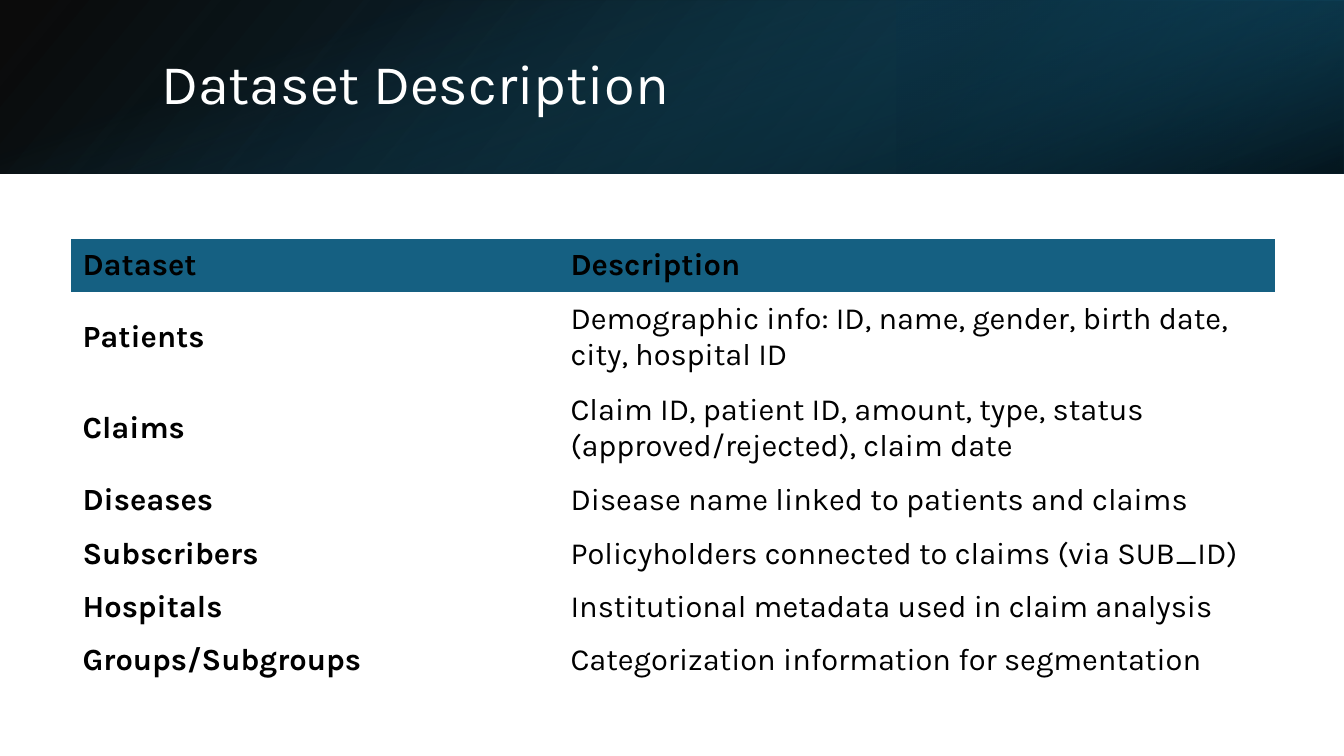
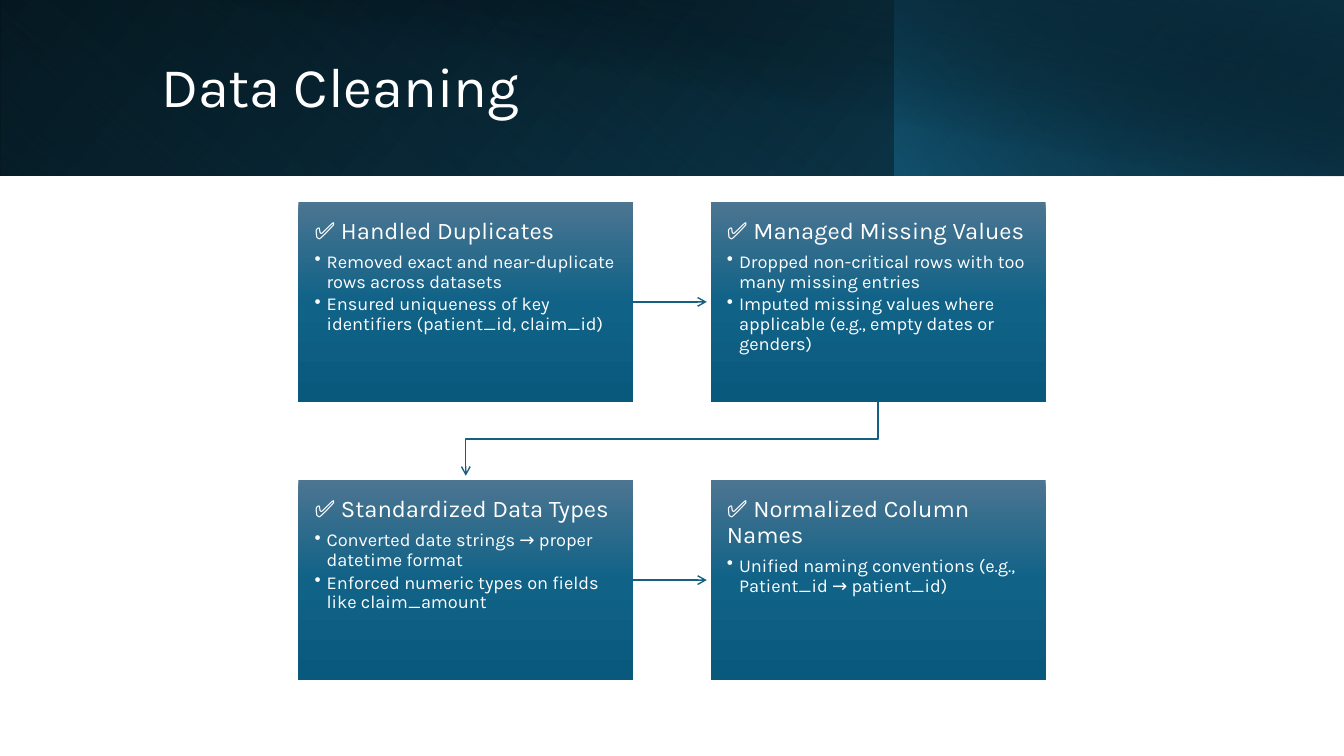
import lxml.etree
import pptx
import pptx.dml.color
import pptx.enum.shapes
import pptx.enum.text
import pptx.oxml
import pptx.oxml.ns
import pptx.util

Inches = pptx.util.Inches
Pt = pptx.util.Pt
RGBColor = pptx.dml.color.RGBColor
qn = pptx.oxml.ns.qn
MIDDLE = pptx.enum.text.MSO_ANCHOR.MIDDLE
TOP = pptx.enum.text.MSO_ANCHOR.TOP
CONNECTOR = pptx.enum.shapes.MSO_CONNECTOR

BLACK = RGBColor(0x00, 0x00, 0x00)
WHITE = RGBColor(0xFF, 0xFF, 0xFF)
TEAL = RGBColor(0x15, 0x60, 0x82)
DEEP_TEAL = RGBColor(0x10, 0x48, 0x62)
NAVY = RGBColor(0x0B, 0x30, 0x41)
BOX_LIGHT = RGBColor(0x4C, 0x75, 0x91)
BOX_MID = RGBColor(0x10, 0x62, 0x87)
BOX_DARK = RGBColor(0x09, 0x59, 0x7D)

FONT = "Karla"
NO_TABLE_STYLE = "{2D5ABB26-0587-4C30-8999-92F81FD0307C}"
BASE_BAND = [(0, BLACK, 100), (100, DEEP_TEAL, 100)]
BOX_FILL = [(0, BOX_LIGHT, 100), (50, BOX_MID, 100), (100, BOX_DARK, 100)]


def add_xml(parent, tag, **attrs):
    child = lxml.etree.SubElement(parent, qn(tag))
    for name, value in attrs.items():
        child.set(name, str(value))
    return child


class Deck:
    """The shared style and the slide being built."""

    def __init__(self):
        self.prs = pptx.Presentation()
        self.prs.slide_width = Inches(13.33)
        self.prs.slide_height = Inches(7.5)
        self.s = None

    def new_slide(self):
        self.s = self.prs.slides.add_slide(self.prs.slide_layouts[6])

    def style(self, p, size, color, bold=False):
        for r in p.runs:
            r.font.name = FONT
            r.font.size = Pt(size)
            r.font.bold = bold
            r.font.color.rgb = color

    def gradient_rect(self, x, y, w, h, stops, angle, flip=False, rotation=0):
        """Rectangle filled with (position, colour, opacity) stops; angle runs clockwise."""
        sp = self.s.shapes.add_shape(
            pptx.enum.shapes.MSO_SHAPE.RECTANGLE,
            Inches(x), Inches(y), Inches(w), Inches(h))
        sp.shadow.inherit = False
        sp.line.fill.background()
        sp.rotation = rotation
        sp.fill.gradient()
        props = sp._element.spPr
        if flip:
            props.find(qn("a:xfrm")).set("flipH", "1")
        grad = props.find(qn("a:gradFill"))
        grad.find(qn("a:lin")).set("ang", str(angle * 60000))
        stop_list = grad.find(qn("a:gsLst"))
        for old in list(stop_list):
            stop_list.remove(old)
        for position, color, opacity in stops:
            stop = add_xml(stop_list, "a:gs", pos=position * 1000)
            rgb = add_xml(stop, "a:srgbClr", val=color)
            if opacity < 100:
                add_xml(rgb, "a:alpha", val=opacity * 1000)
        return sp

    def title(self, text, y, h):
        tf = self.s.shapes.add_textbox(
            Inches(1.5), Inches(y), Inches(10.9), Inches(h)).text_frame
        tf.word_wrap = True
        tf.vertical_anchor = MIDDLE
        tf.text = text
        tf.paragraphs[0].line_spacing = 0.9
        self.style(tf.paragraphs[0], 40, WHITE)

    def table(self, x, y, widths, heights, rows):
        frame = self.s.shapes.add_table(
            len(rows), len(widths), Inches(x), Inches(y),
            Inches(sum(widths)), Inches(sum(heights)))
        table = frame.table
        table.horz_banding = False
        table._tbl.tblPr.find(qn("a:tableStyleId")).text = NO_TABLE_STYLE
        for column, width in zip(table.columns, widths):
            column.width = Inches(width)
        for i, (row, height, texts) in enumerate(zip(table.rows, heights, rows)):
            row.height = Inches(height)
            for j, (cell, text) in enumerate(zip(row.cells, texts)):
                cell.margin_left = cell.margin_right = Inches(0.12)
                cell.margin_top = cell.margin_bottom = Inches(0.06)
                cell.vertical_anchor = MIDDLE
                cell.text = text
                self.style(cell.text_frame.paragraphs[0], 22, BLACK, i == 0 or j == 0)
                if i == 0:
                    cell.fill.solid()
                    cell.fill.fore_color.rgb = TEAL
                else:
                    cell.fill.background()

    def step_box(self, x, y, w, h, heading, points):
        sp = self.gradient_rect(x, y, w, h, BOX_FILL, 90)
        tf = sp.text_frame
        tf.word_wrap = True
        tf.vertical_anchor = TOP
        tf.margin_left = tf.margin_right = Inches(0.16)
        tf.margin_top = tf.margin_bottom = Inches(0.17)
        tf.text = "\n".join([heading] + points)
        for i, p in enumerate(tf.paragraphs):
            p.alignment = pptx.enum.text.PP_ALIGN.LEFT
            p.line_spacing = 0.9
            p.space_after = Pt(2 if i else 6)
            self.style(p, 13 if i else 17, WHITE)
            if i:
                props = p._p.get_or_add_pPr()
                props.set("marL", str(Inches(0.12)))
                props.set("indent", str(-Inches(0.12)))
                add_xml(props, "a:buChar", char="•")
        return sp

    def arrow(self, kind, x1, y1, x2, y2):
        line = self.s.shapes.add_connector(
            kind, Inches(x1), Inches(y1), Inches(x2), Inches(y2))
        line.line.color.rgb = TEAL
        line.line.width = Pt(1)
        add_xml(line.line._get_or_add_ln(), "a:tailEnd", type="arrow")
        add_xml(line._element.spPr, "a:effectLst")
        return line

    def down_elbow(self, x1, y1, x2, y2):
        """Arrow that goes down, across to the left and down again."""
        cx, cy = (x1 + x2) / 2, (y1 + y2) / 2
        half_w, half_h = (y2 - y1) / 2, (x1 - x2) / 2
        line = self.arrow(CONNECTOR.ELBOW, cx - half_w, cy - half_h,
                          cx + half_w, cy + half_h)
        line._element.spPr.find(qn("a:xfrm")).set("rot", str(90 * 60000))


def dataset_slide(deck):
    deck.new_slide()
    band = 1.72
    deck.gradient_rect(0, 0, 13.33, band, [(0, BLACK, 96), (100, DEEP_TEAL, 100)],
                       140, flip=True)
    deck.gradient_rect(8.89, 0, 4.44, band, [(19, NAVY, 68), (100, TEAL, 79)],
                       320, flip=True, rotation=180)
    deck.gradient_rect(5.8, -5.8, band, 13.33, [(23, TEAL, 0), (99, BLACK, 74)],
                       340, rotation=90)
    deck.title("Dataset Description", 0.38, 0.96)
    rows = [
        ("Dataset", "Description"),
        ("Patients", "Demographic info: ID, name, gender, birth date, city, hospital ID"),
        ("Claims", "Claim ID, patient ID, amount, type, status (approved/rejected), claim date"),
        ("Diseases", "Disease name linked to patients and claims"),
        ("Subscribers", "Policyholders connected to claims (via SUB_ID)"),
        ("Hospitals", "Institutional metadata used in claim analysis"),
        ("Groups/Subgroups", "Categorization information for segmentation"),
    ]
    heights = [0.9 if len(text) > 50 else 0.53 for _, text in rows]
    deck.table(0.7, 2.37, [4.84, 7.11], heights, rows)


def cleaning_slide(deck):
    deck.new_slide()
    band = 1.74
    deck.gradient_rect(0, 0, 13.33, band, BASE_BAND, 140, flip=True)
    deck.gradient_rect(0, 0, 8.88, band, [(20, TEAL, 0), (100, NAVY, 55)],
                       230, flip=True, rotation=180)
    deck.gradient_rect(8.87, 0, 4.46, band, [(0, TEAL, 66), (100, BLACK, 30)],
                       220, flip=True)
    deck.gradient_rect(0.5, 0, 12.83, 1.75, [(50, BLACK, 0), (99, NAVY, 52)], 280)
    deck.title("Data Cleaning", 0.32, 1.13)

    steps = [
        ("✅ Handled Duplicates",
         ["Removed exact and near-duplicate rows across datasets",
          "Ensured uniqueness of key identifiers (patient_id, claim_id)"]),
        ("✅ Managed Missing Values",
         ["Dropped non-critical rows with too many missing entries",
          "Imputed missing values where applicable (e.g., empty dates or genders)"]),
        ("✅ Standardized Data Types",
         ["Converted date strings → proper datetime format",
          "Enforced numeric types on fields like claim_amount"]),
        ("✅ Normalized Column Names",
         ["Unified naming conventions (e.g., Patient_id → patient_id)"]),
    ]
    left, top, w, h = 2.96, 2, 3.32, 1.99
    step_x, step_y, gap = 4.09, 2.76, 0.04
    for i, (heading, points) in enumerate(steps):
        row, col = divmod(i, 2)
        x, y = left + col * step_x, top + row * step_y
        box = deck.step_box(x, y, w, h, heading, points)
        if col == 0:
            middle = y + h / 2
            line = deck.arrow(CONNECTOR.STRAIGHT, x + w, middle, x + step_x - gap, middle)
            line.begin_connect(box, 3)
    deck.down_elbow(left + step_x + w / 2, top + h, left + w / 2, top + step_y - gap)


def main():
    deck = Deck()
    dataset_slide(deck)
    cleaning_slide(deck)
    deck.prs.save("out.pptx")


if __name__ == "__main__":
    main()
